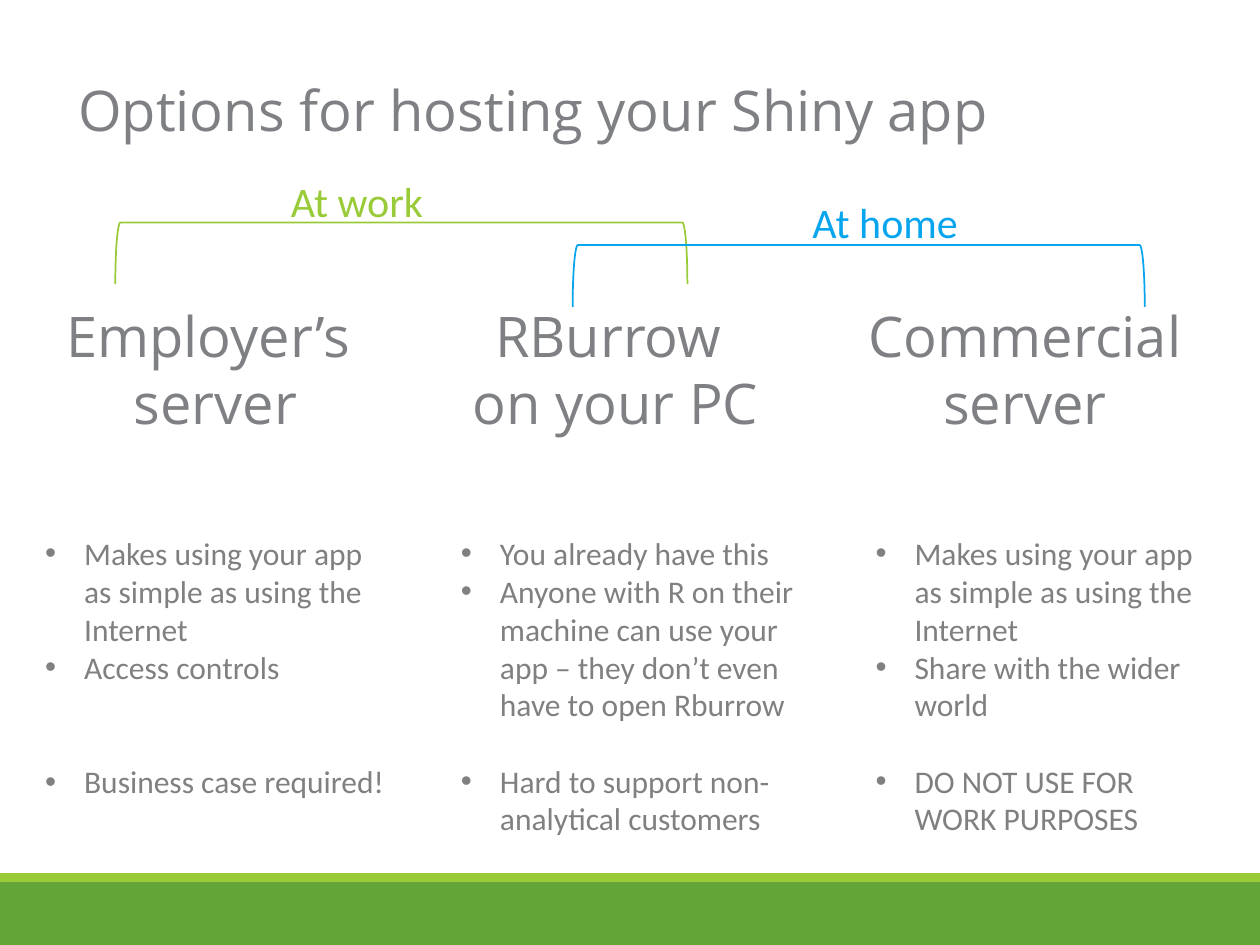
from lxml import etree
from pptx import Presentation
from pptx.dml.color import RGBColor
from pptx.enum.shapes import MSO_SHAPE as Shape
from pptx.enum.text import MSO_ANCHOR as Anchor, PP_ALIGN as Align
from pptx.oxml.ns import qn
from pptx.util import Inches, Pt

DARK_GREEN = RGBColor(0x63, 0xA5, 0x37)
LIME = RGBColor(0x99, 0xCB, 0x38)
BLUE = RGBColor(0x08, 0xA5, 0xEF)
HEADING_GREY = RGBColor(0x7E, 0x80, 0x83)
TEXT_GREY = RGBColor(0x80, 0x80, 0x80)
BLANK_LINE = 22  # height in points of one line of list text


def style(para, size, font, colour, align=Align.LEFT):
    para.alignment = align
    for span in para.runs:
        span.font.size = Pt(size)
        span.font.name = font
        span.font.color.rgb = colour


def add_text_box(page, left, top, width, height, wrap=True):
    box = page.shapes.add_textbox(Inches(left), Inches(top), Inches(width), Inches(height))
    box.text_frame.word_wrap = wrap
    return box.text_frame


deck = Presentation()
deck.slide_width, deck.slide_height = Inches(10), Inches(7.5)
page = deck.slides.add_slide(deck.slide_layouts.get_by_name("Title Only"))

# Footer bands
for top, height, colour in [(7, 0.5, DARK_GREEN), (6.93, 0.07, LIME)]:
    band = page.shapes.add_shape(Shape.RECTANGLE, 0, Inches(top), Inches(10), Inches(height))
    band.shadow.inherit = False
    band.fill.solid()
    band.fill.fore_color.rgb = colour
    band.line.fill.background()

# Title
title = page.shapes.title
title.left, title.top, title.width, title.height = map(Inches, (0.52, 0.55, 7.5, 0.64))
title.text_frame.text = "Options for hosting your Shiny app"
title.text_frame.word_wrap = False
title.text_frame.vertical_anchor = Anchor.TOP
style(title.text_frame.paragraphs[0], 32, "Open Sans", HEADING_GREY)

# Brackets joining neighbouring columns: frame left and top, label left and top
for text, colour, left, top, label_left, label_top in [
    ("At work", LIME, 2.94, -0.26, 2.21, 1.34),
    ("At home", BLUE, 6.57, -0.08, 6.35, 1.51),
]:
    bracket = page.shapes.add_shape(
        Shape.LEFT_BRACKET, Inches(left), Inches(top), Inches(0.49), Inches(4.54))
    bracket.rotation = 90
    bracket.shadow.inherit = False
    bracket.fill.background()
    bracket.line.color.rgb = colour
    bracket.line.width = Pt(1)
    label = add_text_box(page, label_left, label_top, 2.73, 0.5)
    label.text = text
    style(label.paragraphs[0], 24, "Calibri", colour)

# Columns: heading, its left and width, list left and width, (blank lines before, bullet)
columns = [
    ("Employer’s \nserver", 0.41, 2.6, 0.26, 3.04, [
        (0, "Makes using your app  as simple as using the Internet"),
        (0, "Access controls"),
        (2, "Business case required!"),
    ]),
    ("RBurrow \non your PC", 3.64, 2.49, 3.56, 2.89, [
        (0, "You already have this"),
        (0, "Anyone with R on their machine can use your app – "
            "they don’t even have to open Rburrow"),
        (1, "Hard to support non-analytical customers"),
    ]),
    ("Commercial\nserver", 6.78, 2.71, 6.85, 2.89, [
        (0, "Makes using your app as simple as using the Internet"),
        (0, "Share with the wider world"),
        (1, "DO NOT USE FOR WORK PURPOSES"),
    ]),
]
for heading, head_left, head_width, list_left, list_width, bullets in columns:
    frame = add_text_box(page, head_left, 2.34, head_width, 1.18, wrap=False)
    frame.text = heading
    for para in frame.paragraphs:
        style(para, 32, "Open Sans", HEADING_GREY, Align.CENTER)

    frame = add_text_box(page, list_left, 4.19, list_width, 2.52)
    frame.text = "\n".join(text for _, text in bullets)
    for para, (blank_lines, _) in zip(frame.paragraphs, bullets):
        props = para._p.get_or_add_pPr()
        props.set("marL", str(Inches(0.31)))
        props.set("indent", str(-Inches(0.31)))
        etree.SubElement(props, qn("a:buFont")).set("typeface", "Arial")
        etree.SubElement(props, qn("a:buChar")).set("char", "•")
        if blank_lines:
            para.space_before = Pt(blank_lines * BLANK_LINE)
        style(para, 18, "Calibri", TEXT_GREY)

deck.save("out.pptx")
